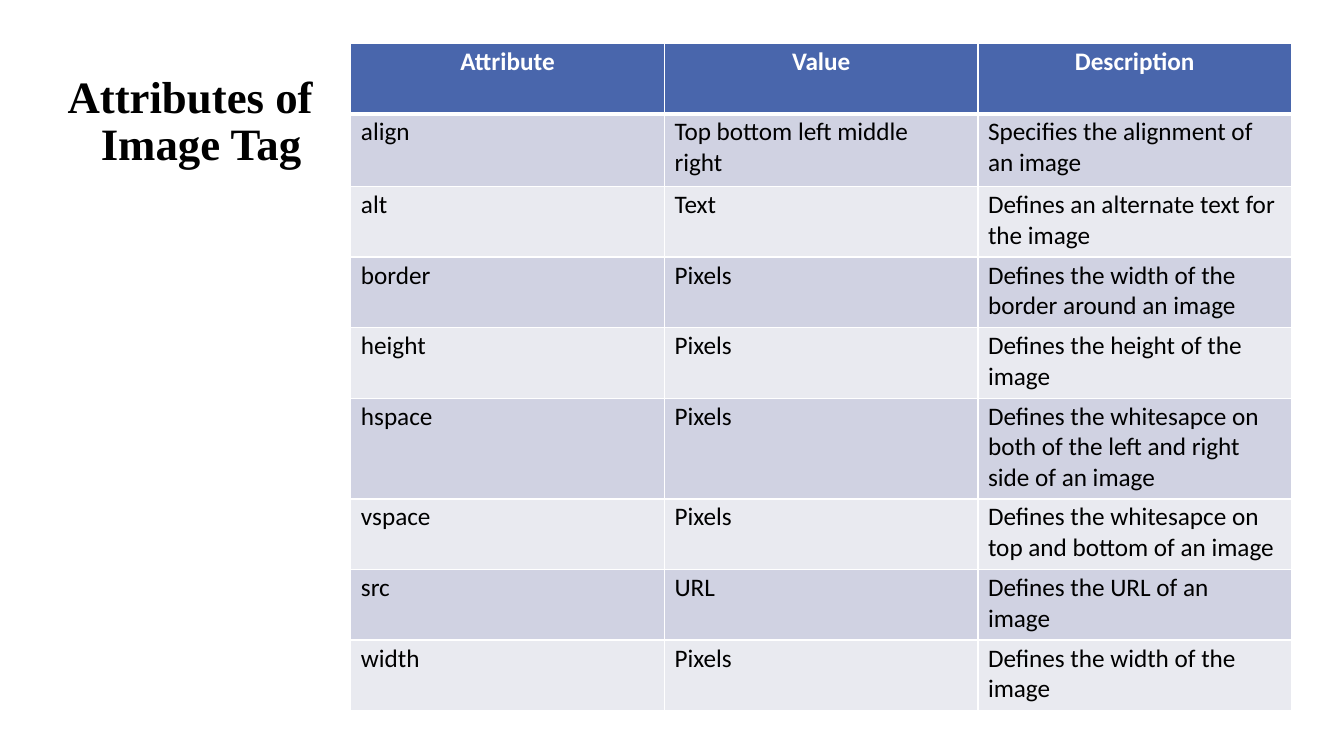
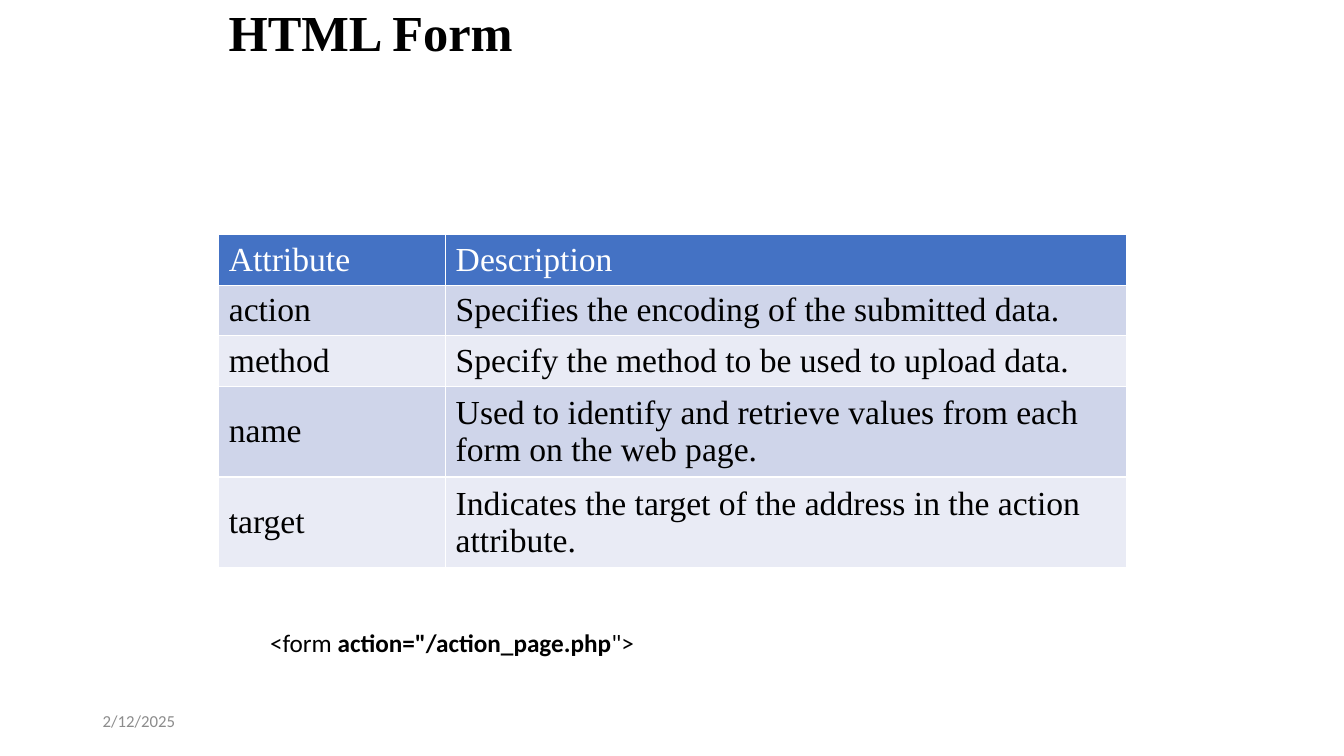
import pptx
import pptx.dml.color
import pptx.enum.text
import pptx.oxml.ns
import pptx.util
from lxml import etree

Inches = pptx.util.Inches
Pt = pptx.util.Pt
ALIGN = pptx.enum.text.PP_ALIGN
ANCHOR = pptx.enum.text.MSO_ANCHOR

SERIF, SANS = "Times New Roman", "Calibri"
BLACK, WHITE, GREY = "000000", "FFFFFF", "8C8C8C"

IMAGE_TABLE = {
    "at": (3.48, 0.43),
    "columns": [3.11] * 3,
    "heights": [0.7, 0.72, 0.7, 0.7, 0.7, 1, 0.7, 0.7, 0.7],
    "fills": ("4966AC", "D0D2E2", "E9EAF0"),
    "font": (SANS, 18),
    "header": {"bold": True, "align": ALIGN.CENTER, "rule": 3},
    "margins": (0, 0.03, 0, 0),
    "indent": 0.1,
    "anchor": ANCHOR.TOP,
    "rows": [
        ("Attribute", "Value", "Description"),
        ("align", "Top bottom left middle\nright", "Specifies the alignment of\nan image"),
        ("alt", "Text", "Defines an alternate text for\nthe image"),
        ("border", "Pixels", "Defines the width of the\nborder around an image"),
        ("height", "Pixels", "Defines the height of the\nimage"),
        ("hspace", "Pixels", "Defines the whitesapce on\nboth of the left and right\nside of an image"),
        ("vspace", "Pixels", "Defines the whitesapce on\ntop and bottom of an image"),
        ("src", "URL", "Defines the URL of an\nimage"),
        ("width", "Pixels", "Defines the width of the\nimage"),
    ],
}

FORM_TABLE = {
    "at": (2.17, 2.33),
    "columns": [2.25, 6.75],
    "heights": [0.47, 0.47, 0.47, 0.84, 0.84],
    "fills": ("4472C4", "CFD5EA", "E9EBF5"),
    "font": (SERIF, 24),
    "header": {"bold": False, "align": ALIGN.LEFT, "rule": 1},
    "margins": (0.1, 0.05, 0.1, 0.05),
    "indent": 0,
    "anchor": ANCHOR.MIDDLE,
    "rows": [
        ("Attribute", "Description"),
        ("action", "Specifies the encoding of the submitted data."),
        ("method", "Specify the method to be used to upload data."),
        ("name", "Used to identify and retrieve values from each form on the web page."),
        ("target", "Indicates the target of the address in the action attribute."),
    ],
}

FORM_CODE = [("<form ", False), ('action="/action_page.php', True), ('">', False)]


def color(value):
    return pptx.dml.color.RGBColor.from_string(value)


def add_span(para, text, face, size, shade=BLACK, bold=False):
    span = para.add_run()
    span.text = text
    span.font.name, span.font.size, span.font.bold = face, Pt(size), bold
    span.font.color.rgb = color(shade)


def set_indent(para, left, first=0):
    properties = para._p.get_or_add_pPr()
    properties.set("marL", str(Inches(left)))
    properties.set("indent", str(Inches(first)))


def set_margins(target, left, top, right, bottom):
    target.margin_left, target.margin_top = Inches(left), Inches(top)
    target.margin_right, target.margin_bottom = Inches(right), Inches(bottom)


def add_box(page, at, anchor=ANCHOR.MIDDLE, wrap=True):
    frame = page.shapes.add_textbox(*map(Inches, at)).text_frame
    frame.word_wrap = wrap
    frame.vertical_anchor = anchor
    return frame


def add_title(page, at, text, size, spacing):
    frame = add_box(page, at)
    para = frame.paragraphs[0]
    para.line_spacing = spacing
    add_span(para, text, SERIF, size, bold=True)
    return frame


def set_borders(cell, widths):
    properties = cell._tc.get_or_add_tcPr()
    qualify = pptx.oxml.ns.qn
    for side, width in zip("LRTB", widths):
        line = etree.SubElement(properties, qualify("a:ln" + side), w=str(Pt(width)))
        fill = etree.SubElement(line, qualify("a:solidFill"))
        etree.SubElement(fill, qualify("a:srgbClr"), val=WHITE)


def fill_cell(cell, text, row, style):
    is_header = row == 0
    header = style["header"]
    top = header["rule"] if row == 1 else 1
    bottom = header["rule"] if is_header else 1
    set_borders(cell, (1, 1, top, bottom))
    cell.fill.solid()
    shade = style["fills"][0 if is_header else 2 - row % 2]
    cell.fill.fore_color.rgb = color(shade)
    cell.vertical_anchor = style["anchor"]
    set_margins(cell, *style["margins"])
    frame = cell.text_frame
    for index, line in enumerate(text.split("\n")):
        para = frame.add_paragraph() if index else frame.paragraphs[0]
        if is_header:
            para.alignment = header["align"]
        else:
            set_indent(para, style["indent"])
        add_span(para, line, *style["font"], WHITE if is_header else BLACK,
                 is_header and header["bold"])


def add_grid(page, style):
    columns, heights, rows = style["columns"], style["heights"], style["rows"]
    size = (sum(columns), sum(heights))
    table = page.shapes.add_table(len(rows), len(columns), *map(Inches, style["at"] + size)).table
    table.first_row = table.horz_banding = False
    for column, width in zip(table.columns, columns):
        column.width = Inches(width)
    for row, (texts, height) in enumerate(zip(rows, heights)):
        table.rows[row].height = Inches(height)
        for column, text in enumerate(texts):
            fill_cell(table.cell(row, column), text, row, style)


def build_image_page(page):
    frame = add_title(page, (0.66, 0.66, 2.46, 1.03), "Attributes of Image Tag", 32, Pt(33.8))
    set_margins(frame, 0, 0.08, 0, 0)
    set_indent(frame.paragraphs[0], 0.34, -0.33)
    add_grid(page, IMAGE_TABLE)


def build_form_page(page):
    add_title(page, (2.17, 0, 9, 0.7), "HTML Form", 36, 0.9)
    add_grid(page, FORM_TABLE)
    date = add_box(page, (0.92, 6.95, 3, 0.4))
    add_span(date.paragraphs[0], "2/12/2025", SANS, 12, GREY)
    code = add_box(page, (2.58, 6.17, 3.84, 0.4), ANCHOR.TOP, wrap=False)
    for text, bold in FORM_CODE:
        add_span(code.paragraphs[0], text, SANS, 18, bold=bold)


def main():
    """Build the two slides on HTML image and form attributes."""
    deck = pptx.Presentation()
    deck.slide_width, deck.slide_height = Inches(13.33), Inches(7.5)
    for build in (build_image_page, build_form_page):
        build(deck.slides.add_slide(deck.slide_layouts[6]))
    deck.save("out.pptx")


if __name__ == "__main__":
    main()
